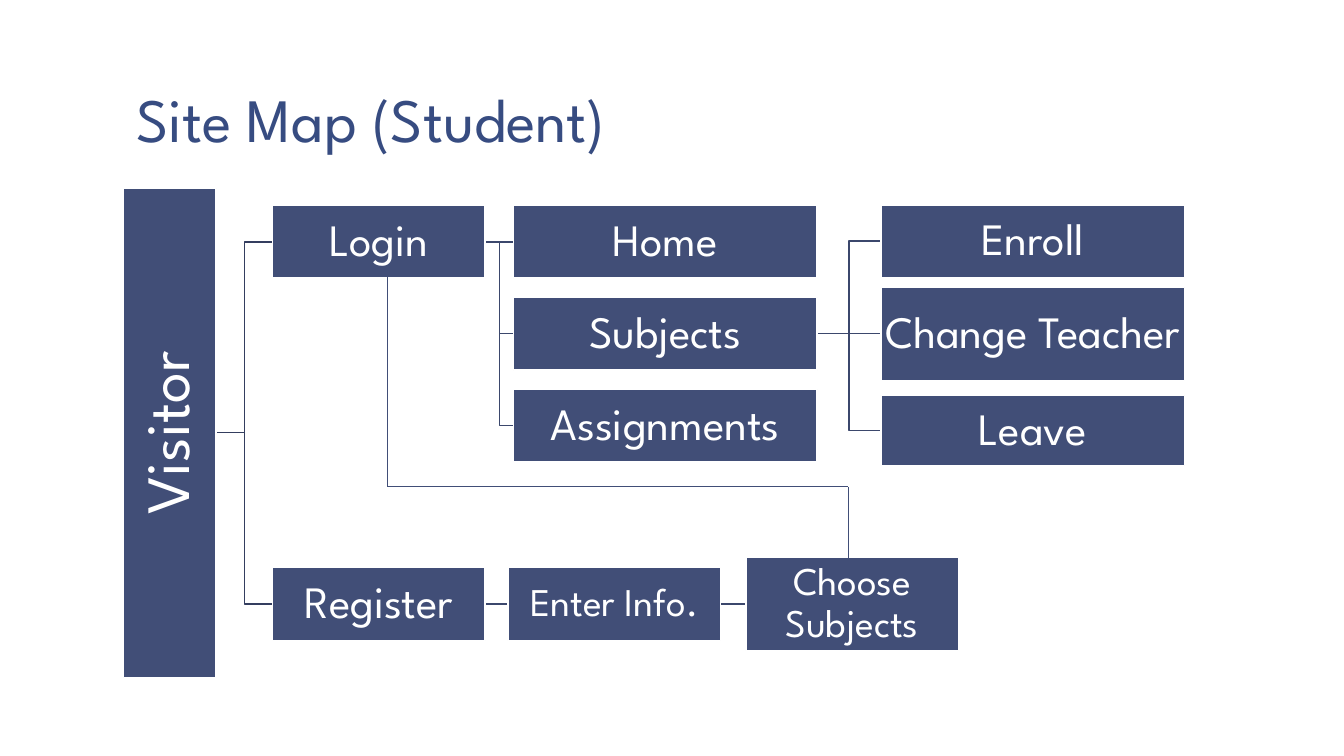
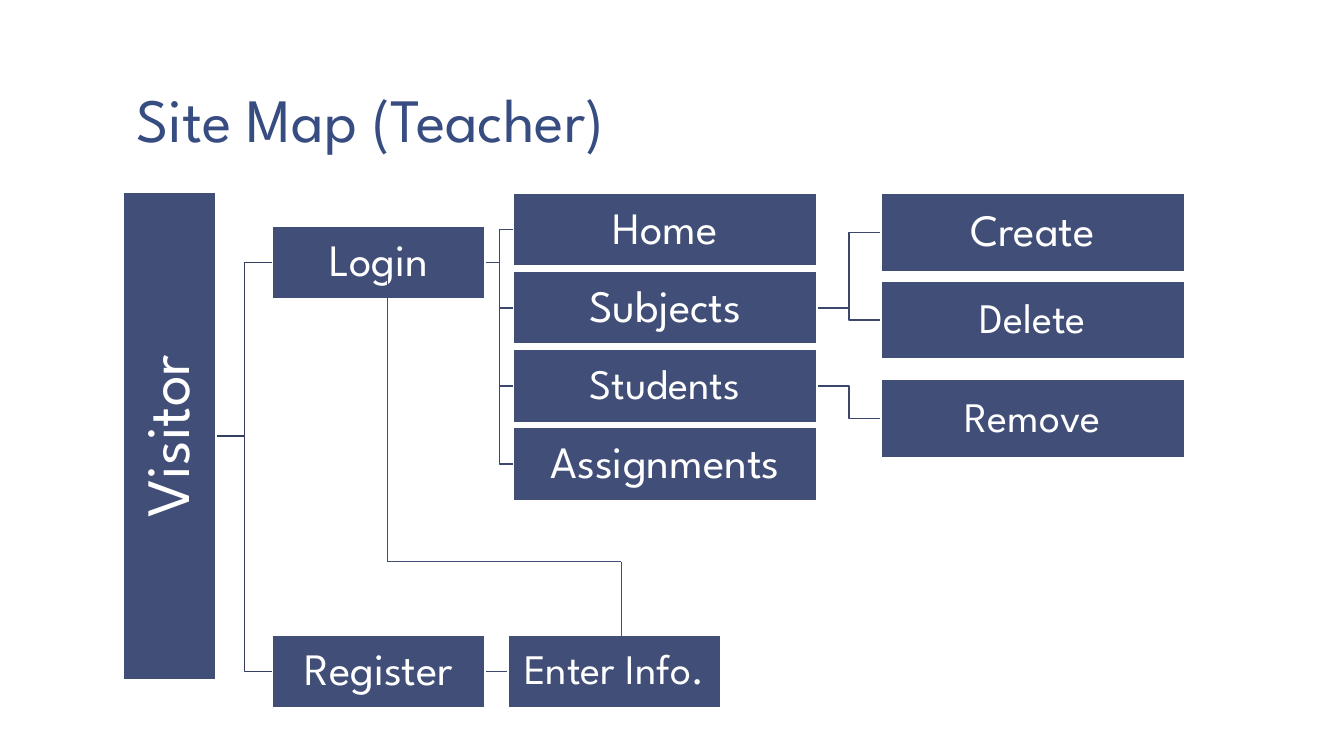
from collections import namedtuple
from dataclasses import dataclass

from lxml.etree import SubElement
from pptx import Presentation
from pptx.dml.color import RGBColor
from pptx.enum.shapes import MSO_CONNECTOR as Connector, MSO_SHAPE as Shape
from pptx.enum.text import MSO_ANCHOR as Anchor, PP_ALIGN as Align
from pptx.oxml.ns import qn
from pptx.util import Inches, Pt

SLIDE_WIDTH, SLIDE_HEIGHT = Inches(13.33), Inches(7.5)


@dataclass(frozen=True)
class Theme:
    font: str = "League Spartan"
    box: str = "414E77"
    title: str = "374C81"
    white: str = "FFFFFF"
    trunk: str = "343E5F"
    branch: str = "3B476C"
    large: int = 44
    normal: int = 32
    medium: int = 30
    small: int = 28


THEME = Theme()
Box = namedtuple("Box", "left top width height")  # percent of the slide
Node = namedtuple("Node", "column top height size", defaults=(9.6, THEME.normal))

TITLE_BOX = Box(9.15, 1.07, 83.35, 20.4)
COLUMNS = {  # left and width, percent of the slide's width
    "visitor": (9.19, 6.9),
    "entry": (20.3, 15.8),
    "info": (37.8, 15.8),
    "choice": (55.5, 15.8),
    "page": (38.2, 22.6),
    "action": (65.55, 22.6),
}


def page_nodes(names, top, step):
    """Stack the pages of the site at equal steps."""
    return {name: Node("page", top + index * step) for index, name in enumerate(names)}


STUDENT = {
    "title": "Site Map (Student)",
    "nodes": {
        "Visitor": Node("visitor", 24.9, 64.7, THEME.large),
        "Login": Node("entry", 27.2),
        "Register": Node("entry", 75.1),
        "Enter Info.": Node("info", 75.1, size=THEME.small),
        "Choose Subjects": Node("choice", 73.75, 12.3, THEME.small),
        **page_nodes(("Home", "Subjects", "Assignments"), 27.2, 12.15),
        "Enroll": Node("action", 27.1),
        "Change Teacher": Node("action", 38, 12.3),
        "Leave": Node("action", 52.3, 9.3),
    },
    "links": {
        "Visitor": ("Login", "Register"),
        "Login": ("Home", "Subjects", "Assignments"),
        "Subjects": ("Enroll", "Change Teacher", "Leave"),
        "Register": ("Enter Info.",),
        "Enter Info.": ("Choose Subjects",),
    },
    "return_route": ((63.1, 75.6), (63.1, 64.4), (28.8, 64.4), (28.8, 36.7)),
}

TEACHER_PAGES = page_nodes(("Home", "Subjects", "Students", "Assignments"), 25.6, 10.33)
TEACHER_PAGES["Students"] = TEACHER_PAGES["Students"]._replace(size=THEME.medium)
TEACHER = {
    "title": "Site Map (Teacher)",
    "nodes": {
        "Visitor": Node("visitor", 25.5, 64.4, THEME.large),
        "Login": Node("entry", 29.9),
        "Register": Node("entry", 84),
        "Enter Info.": Node("info", 84, size=THEME.medium),
        **TEACHER_PAGES,
        "Create": Node("action", 25.6, 10.3),
        "Delete": Node("action", 37.2, 10.3, THEME.medium),
        "Remove": Node("action", 50.2, 10.3, THEME.medium),
    },
    "links": {
        "Visitor": ("Login", "Register"),
        "Login": ("Home", "Subjects", "Students", "Assignments"),
        "Subjects": ("Create", "Delete"),
        "Students": ("Remove",),
        "Register": ("Enter Info.",),
    },
    "return_route": ((46.2, 84.4), (46.2, 74.3), (28.8, 74.3), (28.8, 36.7)),
}


def across(share):
    return round(SLIDE_WIDTH * share / 100)


def down(share):
    return round(SLIDE_HEIGHT * share / 100)


def place(box):
    return across(box.left), down(box.top), across(box.width), down(box.height)


def set_all(target, values):
    for name, value in values.items():
        setattr(target, name, value)


def write(shape, text, size, color, frame_format, paragraph_format):
    frame = shape.text_frame
    set_all(frame, {"word_wrap": True, **frame_format})
    paragraph = frame.paragraphs[0]
    set_all(paragraph, paragraph_format)
    run = paragraph.add_run()
    run.text = text
    set_all(run.font, {"name": THEME.font, "size": Pt(size)})
    run.font.color.rgb = RGBColor.from_string(color)


def margins(horizontal, vertical):
    return {"margin_left": horizontal, "margin_right": horizontal,
            "margin_top": vertical, "margin_bottom": vertical}


def add_title(slide, text, box):
    shape = slide.shapes.add_textbox(*place(box))
    write(shape, text, THEME.large, THEME.title,
          {"vertical_anchor": Anchor.BOTTOM, **margins(Inches(0.13), Inches(0.07))},
          {"line_spacing": 0.85})


def add_node(slide, text, node):
    left, width = COLUMNS[node.column]
    box = Box(left, node.top, width, node.height)
    shape = slide.shapes.add_shape(Shape.RECTANGLE, *place(box))
    shape.shadow.inherit = False
    shape.fill.solid()
    shape.fill.fore_color.rgb = RGBColor.from_string(THEME.box)
    shape.line.color.rgb = RGBColor.from_string(THEME.white)
    shape.line.width = Pt(1)
    write(shape, text, node.size, THEME.white,
          {"vertical_anchor": Anchor.MIDDLE, **margins(Inches(0.02), Inches(0.02))},
          {"alignment": Align.CENTER, "line_spacing": 0.9,
           "space_after": Pt(node.size * 0.35)})
    if node.column == "visitor":
        shape.text_frame._txBody.bodyPr.set("vert", "vert270")
    return shape


def add_line(slide, kind, start, end, color, width):
    connector = slide.shapes.add_connector(kind, *start, *end)
    connector.line.color.rgb = RGBColor.from_string(color)
    connector.line.width = Pt(width)
    SubElement(connector._element.spPr, qn("a:effectLst"))
    return connector


def link(slide, parent, child, color):
    """Join the right side of parent to the left side of child, behind both."""
    start = parent.left + parent.width, parent.top + parent.height // 2
    end = child.left, child.top + child.height // 2
    level = abs(start[1] - end[1]) < Inches(0.02)
    kind = Connector.STRAIGHT if level else Connector.ELBOW
    connector = add_line(slide, kind, start, end, color, 1)
    connector.begin_connect(parent, 3)
    connector.end_connect(child, 1)
    element = connector._element
    element.getparent().insert(2, element)


def add_return_route(slide, route):
    points = [(across(x), down(y)) for x, y in route]
    for start, end in zip(points, points[1:]):
        add_line(slide, Connector.STRAIGHT, start, end, THEME.box, 0.5)


def add_site_map(presentation, site_map):
    slide = presentation.slides.add_slide(presentation.slide_layouts[6])
    add_title(slide, site_map["title"], TITLE_BOX)
    shapes = {text: add_node(slide, text, node)
              for text, node in site_map["nodes"].items()}
    for parent, children in site_map["links"].items():
        color = THEME.trunk if parent == "Visitor" else THEME.branch
        for child in children:
            link(slide, shapes[parent], shapes[child], color)
    add_return_route(slide, site_map["return_route"])


def main():
    presentation = Presentation()
    set_all(presentation, {"slide_width": SLIDE_WIDTH, "slide_height": SLIDE_HEIGHT})
    for site_map in (STUDENT, TEACHER):
        add_site_map(presentation, site_map)
    presentation.save("out.pptx")


if __name__ == "__main__":
    main()
